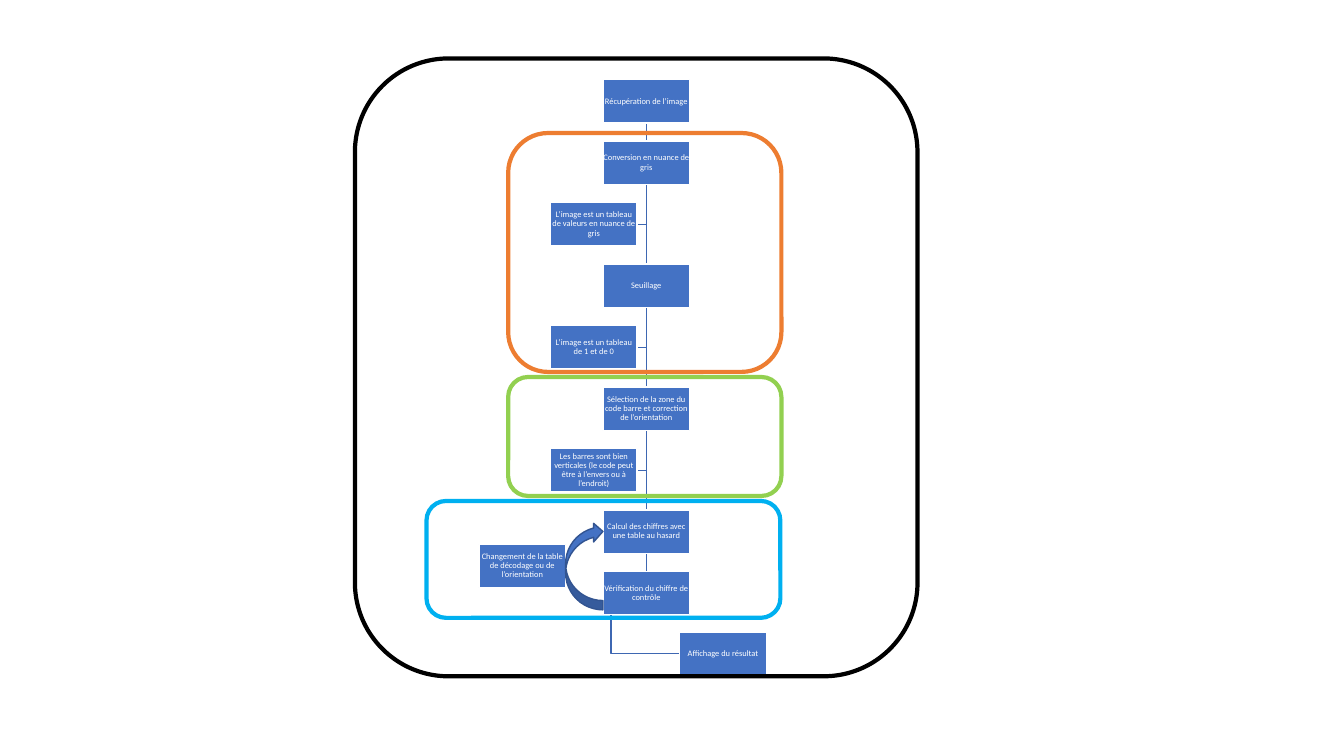
from lxml import etree
from pptx import Presentation
from pptx.dml.color import RGBColor
from pptx.enum.shapes import MSO_CONNECTOR, MSO_SHAPE
from pptx.enum.text import MSO_ANCHOR, PP_ALIGN
from pptx.oxml.ns import qn
from pptx.util import Inches, Pt

RECTANGLE = MSO_SHAPE.RECTANGLE
ROUNDED = MSO_SHAPE.ROUNDED_RECTANGLE
CURVED_ARROW = MSO_SHAPE.CURVED_LEFT_ARROW
STRAIGHT = MSO_CONNECTOR.STRAIGHT
MIDDLE = MSO_ANCHOR.MIDDLE
CENTER = PP_ALIGN.CENTER

# Flow grid, in inches
BOX_W, BOX_H = 0.86, 0.43
FIRST_TOP, ROW_STEP = 0.79, 0.61
TRUNK_LEFT, SIDE_LEFT = 5.98, 5.46
TRUNK_X = TRUNK_LEFT + BOX_W / 2
RESULT_LEFT, RESULT_TOP = 6.74, 6.27
NOTE_INSET = 0.01

BLUE, WHITE, LINK_BLUE = "4472C4", "FFFFFF", "3E67B2"

# Grid row and wording of each step
STEPS = [
    (0, "Récupération de l’image"),
    (1, "Conversion en nuance de gris"),
    (3, "Seuillage"),
    (5, "Sélection de la zone du code barre et correction de l’orientation"),
    (7, "Calcul des chiffres avec une table au hasard"),
    (8, "Vérification du chiffre de contrôle"),
]
SIDE_NOTES = [
    (2, "L’image est un tableau de valeurs en nuance de gris"),
    (4, "L’image est un tableau de 1 et de 0"),
    (6, "Les barres sont bien verticales (le code peut être à l’envers ou à l’endroit)"),
]
# Left, top, width, height and colour of each stage frame
FRAMES = [
    (5.04, 1.32, 2.71, 2.37, "ED7D31"),
    (5.04, 3.74, 2.71, 1.18, "92D050"),
    (4.23, 4.97, 3.51, 1.16, "00B0F0"),
    (3.52, 0.58, 5.58, 6.13, "000000"),
]


def colour(value):
    return RGBColor.from_string(value)


def row_top(row):
    return FIRST_TOP + row * ROW_STEP


def row_bottom(row):
    return row_top(row) + BOX_H


def set_line(shape, value, points):
    shape.line.color.rgb = colour(value)
    shape.line.width = Pt(points)


def add_outline(page, kind, left, top, width, height, line, points, fill=None):
    shape = page.shapes.add_shape(
        kind, Inches(left), Inches(top), Inches(width), Inches(height))
    shape.shadow.inherit = False
    if fill:
        shape.fill.solid()
        shape.fill.fore_color.rgb = colour(fill)
    else:
        shape.fill.background()
    set_line(shape, line, points)
    return shape


def add_box(page, left, top, text, inset=0):
    box = add_outline(page, RECTANGLE, left, top, BOX_W, BOX_H, WHITE, 1, BLUE)
    frame = box.text_frame
    frame.word_wrap = True
    frame.vertical_anchor = MIDDLE
    frame.margin_left = frame.margin_right = Inches(inset)
    frame.margin_top = frame.margin_bottom = 0
    para = frame.paragraphs[0]
    para.alignment = CENTER
    para.line_spacing = 0.9
    para.space_after = Pt(2.1)
    span = para.add_run()
    span.text = text
    span.font.size = Pt(6)
    span.font.name = "Calibri"
    span.font.color.rgb = colour(WHITE)


def add_trunk_link(page, upper, lower):
    link = page.shapes.add_connector(
        STRAIGHT, Inches(TRUNK_X), Inches(row_bottom(upper)),
        Inches(TRUNK_X), Inches(row_top(lower)))
    set_line(link, LINK_BLUE, 1)
    etree.SubElement(link.element.spPr, qn("a:effectLst"))


def add_elbow(page, x, top, end_x, end_y):
    builder = page.shapes.build_freeform(Inches(x), Inches(top))
    builder.add_line_segments(
        [(Inches(x), Inches(end_y)), (Inches(end_x), Inches(end_y))], close=False)
    elbow = builder.convert_to_shape()
    elbow.shadow.inherit = False
    elbow.fill.background()
    set_line(elbow, LINK_BLUE, 1)


def main():
    deck = Presentation()
    deck.slide_width, deck.slide_height = Inches(13.33), Inches(7.5)
    page = deck.slides.add_slide(deck.slide_layouts[6])

    # Links, behind the boxes
    for row, _ in SIDE_NOTES:
        add_elbow(page, TRUNK_X, row_bottom(row - 1),
                  SIDE_LEFT + BOX_W, row_top(row) + BOX_H / 2)
    add_elbow(page, 6.06, row_bottom(8), RESULT_LEFT, RESULT_TOP + BOX_H / 2)
    for (upper, _), (lower, _) in zip(STEPS, STEPS[1:]):
        add_trunk_link(page, upper, lower)

    # Steps, result and side notes
    for row, text in STEPS:
        add_box(page, TRUNK_LEFT, row_top(row), text)
    add_box(page, RESULT_LEFT, RESULT_TOP, "Affichage du résultat")
    for row, text in SIDE_NOTES:
        add_box(page, SIDE_LEFT, row_top(row), text, NOTE_INSET)

    # Retry loop
    add_box(page, 4.75, 5.4, "Changement de la table de décodage ou de l’orientation")
    loop = add_outline(page, CURVED_ARROW, 5.61, 5.18, 0.37, 0.87, "325491", 1, BLUE)
    loop.rotation = 180

    # Stage frames
    for left, top, width, height, line in FRAMES:
        add_outline(page, ROUNDED, left, top, width, height, line, 3)

    deck.save("out.pptx")


if __name__ == "__main__":
    main()
